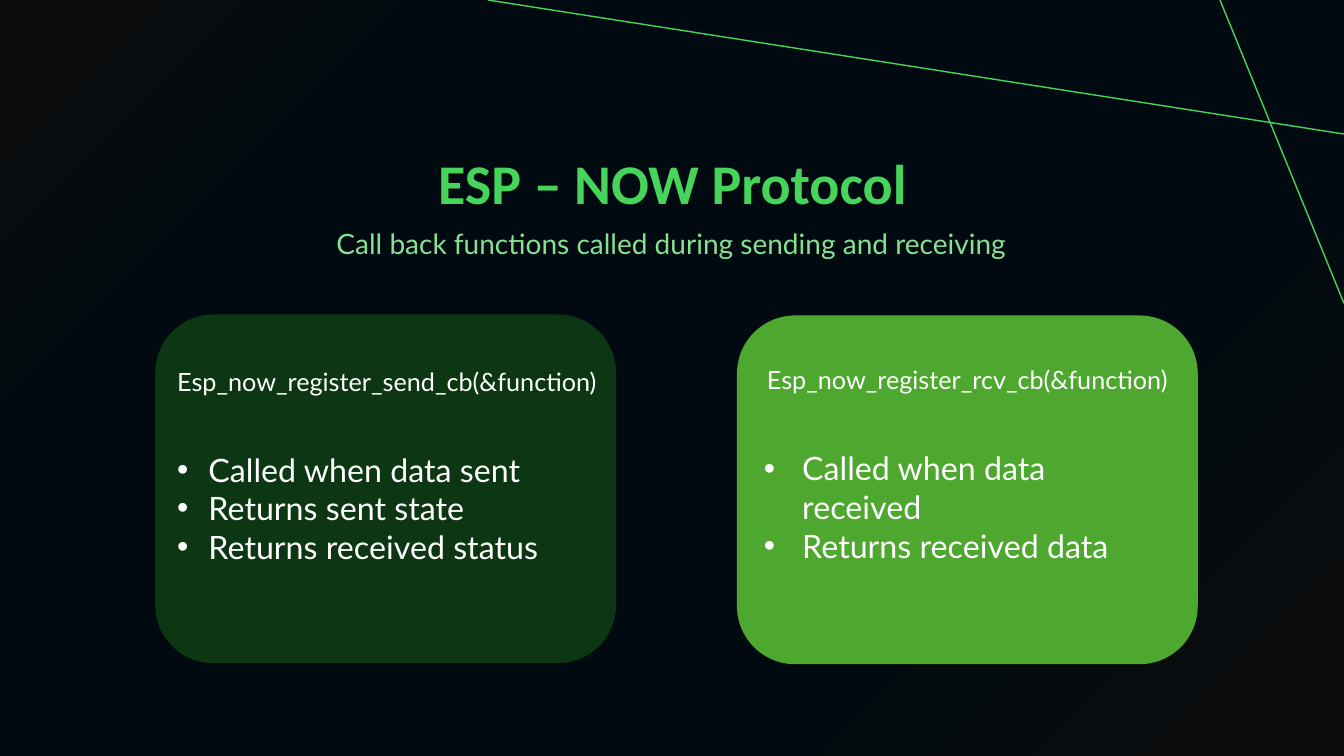
from lxml import etree
from pptx import Presentation
from pptx.dml.color import RGBColor
from pptx.enum.shapes import MSO_CONNECTOR, MSO_SHAPE
from pptx.enum.text import MSO_ANCHOR, PP_ALIGN
from pptx.oxml.ns import qn
from pptx.util import Inches, Pt

LINE, CARD = MSO_CONNECTOR.STRAIGHT, MSO_SHAPE.ROUNDED_RECTANGLE
TOP, LEFT, MID = MSO_ANCHOR.TOP, PP_ALIGN.LEFT, PP_ALIGN.CENTER
WIDE, HIGH = 13.33, 7.5
GREEN, WHITE = "47D45A", "FFFFFF"

# Content
TITLE = "ESP – NOW Protocol"
SUB = "Call back functions called during sending and receiving"
SEND = ("Esp_now_register_send_cb(&function)",
        ["Called when data sent", "Returns sent state", "Returns received status"])
RECV = ("Esp_now_register_rcv_cb(&function)",
        ["Called when data received", "Returns received data"])
STOPS = [(0, "0D0D0D"), (23, "010A10"), (70, "010A10"), (100, "0D0D0D")]
RAYS = [(WIDE, 1.33, 4.84, 0), (12.1, 0, WIDE, 3.01)]

# Card grid
CARD_W, CARD_H = 4.57, 3.46
SEND_AT, RECV_AT = (1.54, 3.12), (7.31, 3.13)


def color(code):
    return RGBColor.from_string(code)


def place(*nums):
    return [Inches(n) for n in nums]


def add_run(para, text, size, code, face="Lato", bold=False):
    run = para.add_run()
    run.text = text
    font = run.font
    font.size, font.name, font.bold = Pt(size), face, bold
    font.color.rgb = color(code)


def text_box(*at):
    frame = slide.shapes.add_textbox(*place(*at)).text_frame
    frame.word_wrap = True
    return frame


def bullet(para, indent):
    props = para._p.get_or_add_pPr()
    props.set("marL", str(Inches(indent)))
    props.set("indent", str(-Inches(indent)))
    etree.SubElement(props, qn("a:buFont")).set("typeface", "Arial")
    etree.SubElement(props, qn("a:buChar")).set("char", "•")


def add_call(frame, call, align, indent):
    head, items = call
    para = frame.paragraphs[0]
    para.alignment = align
    add_run(para, head, 18, WHITE)
    for i, item in enumerate(items):
        para = frame.add_paragraph()
        para.alignment = LEFT
        if i == 0:
            para.space_before = Pt(38.4)
        bullet(para, indent)
        add_run(para, item, 23, WHITE)


def add_card(at, code):
    card = slide.shapes.add_shape(CARD, *place(*at, CARD_W, CARD_H))
    card.shadow.inherit = False
    card.fill.solid()
    card.fill.fore_color.rgb = color(code)
    card.line.fill.background()
    return card


deck = Presentation()
deck.slide_width, deck.slide_height = place(WIDE, HIGH)
slide = deck.slides.add_slide(deck.slide_layouts[6])

# Diagonal gradient background
back = slide.background.fill
back.gradient()
back.gradient_angle = 315
stops = slide.background._cSld.find(".//" + qn("a:gsLst"))
for old in list(stops):
    stops.remove(old)
for share, code in STOPS:
    stop = etree.SubElement(stops, qn("a:gs"), pos=str(share * 1000))
    etree.SubElement(stop, qn("a:srgbClr"), val=code)

# Corner rays
for ray in RAYS:
    line = slide.shapes.add_connector(LINE, *place(*ray))
    line.line.color.rgb = color(GREEN)
    line.line.width = Pt(1)
    etree.SubElement(line._element.spPr, qn("a:effectLst"))

# Subtitle
para = text_box(1.44, 2.2, 10.44, 0.44).paragraphs[0]
para.alignment = MID
add_run(para, SUB, 20, "84E291")

# Send card, with its text in a box on top
add_card(SEND_AT, "0D3612")
add_call(text_box(1.66, 3.58, 4.46, 2.15), SEND, LEFT, 0.31)

# Receive card
frame = add_card(RECV_AT, "4EA72E").text_frame
frame.word_wrap = True
frame.vertical_anchor = TOP
frame.margin_top = Inches(0.32)
add_call(frame, RECV, MID, 0.38)

# Title
para = text_box(3.84, 1.38, 5.66, 0.79).paragraphs[0]
para.alignment = MID
para.line_spacing = 1.07
add_run(para, TITLE, 40, GREEN, "Calibri", True)

deck.save("out.pptx")
